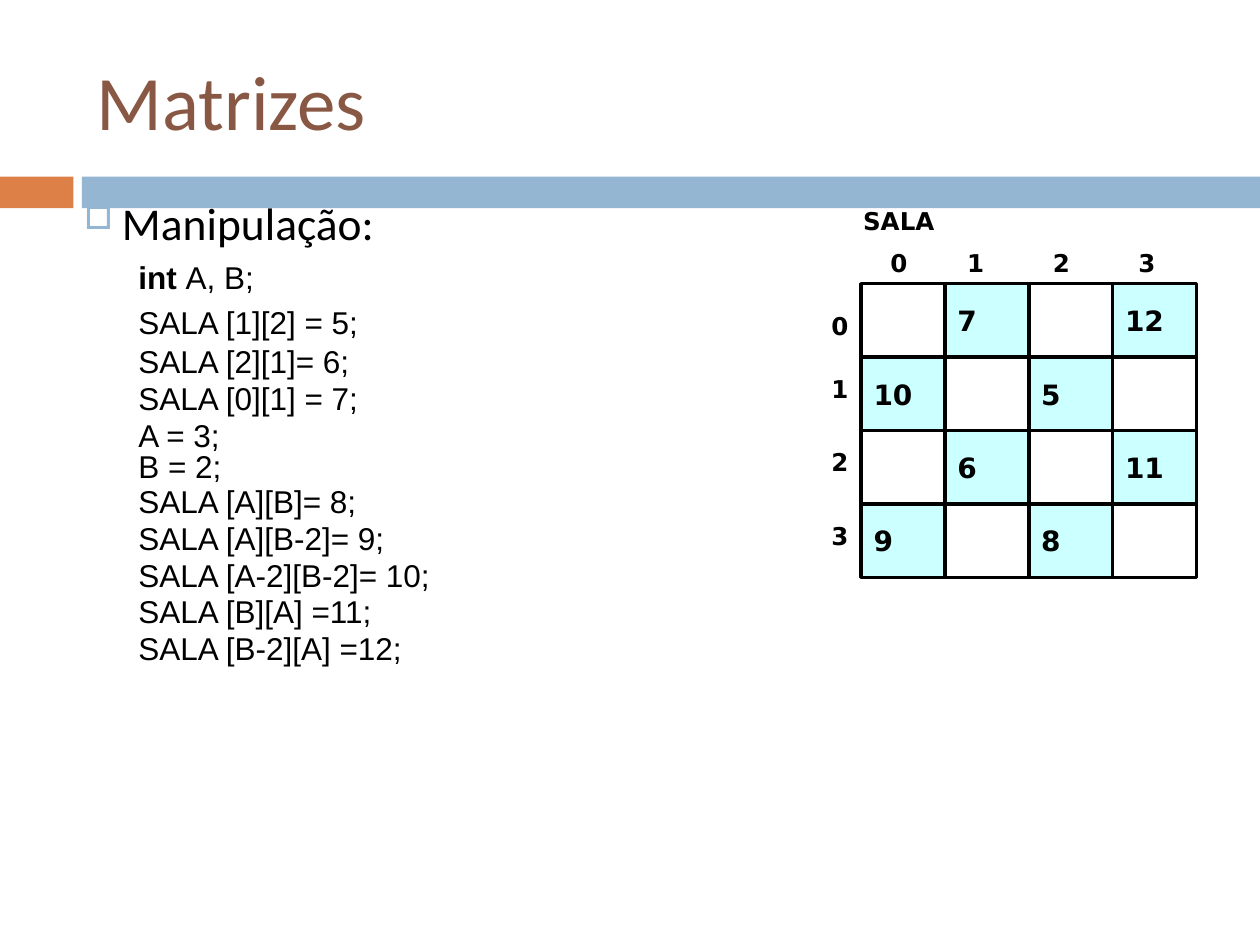
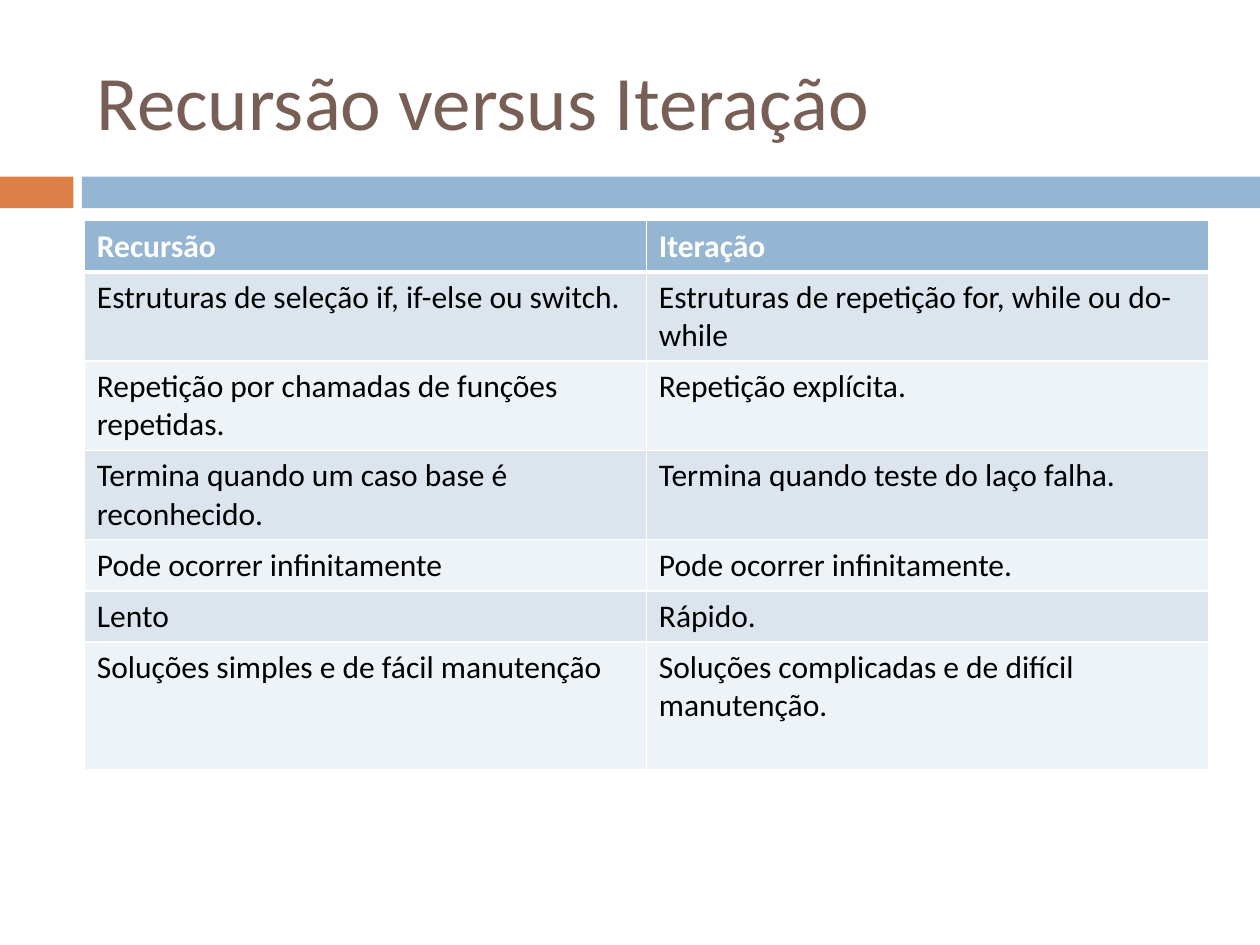
import pptx
import pptx.dml.color
import pptx.enum.shapes
import pptx.enum.text
import pptx.oxml.ns
import pptx.util
from lxml import etree

Cm = pptx.util.Cm
Pt = pptx.util.Pt

BLACK, WHITE = "000000", "FFFFFF"
ORANGE, BLUE = "DD8047", "94B6D2"
CYAN = "CCFFFF"
ROW_TINTS = ("DCE5EE", "EEF3F7")


def color(hex_code):
    return pptx.dml.color.RGBColor.from_string(hex_code)


def add_xml(parent, tag, **attributes):
    child = etree.SubElement(parent, pptx.oxml.ns.qn(tag))
    for key, value in attributes.items():
        child.set(key, str(value))
    return child


class Deck:
    """Holds the style and the slide being built."""

    body_font = "Calibri"
    code_font = "Arial"
    matrix_font = "DejaVu Sans"

    def __init__(self):
        self.prs = pptx.Presentation()
        self.prs.slide_width, self.prs.slide_height = Cm(25.4), Cm(19.05)
        self.slide = None

    def new_slide(self, title, title_color):
        self.slide = self.prs.slides.add_slide(self.prs.slide_layouts[6])
        self.box(0, 3.56, 1.48, 0.64, ORANGE)
        self.box(1.65, 3.56, 23.75, 0.64, BLUE)
        self.text(1.7, 0.64, 22.65, 2.75, [title], self.body_font, 44,
                  title_color, anchor=pptx.enum.text.MSO_ANCHOR.MIDDLE)

    def style(self, paragraph, font, size, hex_code=BLACK, bold=False):
        paragraph.font.name = font
        paragraph.font.size = Pt(size)
        paragraph.font.color.rgb = color(hex_code)
        paragraph.font.bold = bold

    def box(self, left, top, width, height, fill, outline=None):
        shape = self.slide.shapes.add_shape(
            pptx.enum.shapes.MSO_SHAPE.RECTANGLE,
            Cm(left), Cm(top), Cm(width), Cm(height))
        shape.shadow.inherit = False
        shape.fill.solid()
        shape.fill.fore_color.rgb = color(fill)
        if outline:
            shape.line.color.rgb = color(outline)
            shape.line.width = Pt(2)
        else:
            shape.line.fill.background()
        return shape

    def matrix_cell(self, left, top, width, height, value):
        cell = self.box(left, top, width, height,
                        WHITE if value is None else CYAN, BLACK)
        if value is not None:
            paragraph = cell.text_frame.paragraphs[0]
            paragraph.text = str(value)
            paragraph.alignment = pptx.enum.text.PP_ALIGN.LEFT
            self.style(paragraph, self.matrix_font, 16, bold=True)

    def text(self, left, top, width, height, lines, font, size,
             hex_code=BLACK, bold=False, gap=0, tabs=(), bullet=None,
             anchor=pptx.enum.text.MSO_ANCHOR.TOP):
        """Each line is a string, or a list of (text, bold) runs."""
        frame = self.slide.shapes.add_textbox(
            Cm(left), Cm(top), Cm(width), Cm(height)).text_frame
        frame.word_wrap = True
        frame.vertical_anchor = anchor
        for index, line in enumerate(lines):
            paragraph = frame.add_paragraph() if index else frame.paragraphs[0]
            if index:
                paragraph.space_before = Pt(gap)
            if bullet:
                self.bullet(paragraph, bullet)
            if tabs:
                self.tab_stops(paragraph, tabs)
            self.style(paragraph, font, size, hex_code, bold)
            runs = [(line, None)] if isinstance(line, str) else line
            for words, run_bold in runs:
                run = paragraph.add_run()
                run.text = words
                run.font.bold = run_bold

    def bullet(self, paragraph, character):
        props = paragraph._p.get_or_add_pPr()
        props.set("marL", str(Cm(1.78)))
        props.set("indent", str(-Cm(0.76)))
        add_xml(add_xml(props, "a:buClr"), "a:srgbClr", val=BLUE)
        add_xml(props, "a:buSzPct", val=70000)
        add_xml(props, "a:buChar", char=character)

    def tab_stops(self, paragraph, centers):
        stops = add_xml(paragraph._p.get_or_add_pPr(), "a:tabLst")
        for center in centers:
            add_xml(stops, "a:tab", pos=Cm(center), algn="ctr")

    def borders(self, cell, top, bottom):
        props = cell._tc.get_or_add_tcPr()
        for side, points in (("L", 1), ("R", 1), ("T", top), ("B", bottom)):
            line = add_xml(props, f"a:ln{side}", w=Pt(points))
            add_xml(add_xml(line, "a:solidFill"), "a:srgbClr", val=WHITE)

    def table(self, left, top, column_width, row_heights, rows):
        columns = len(rows[0])
        table = self.slide.shapes.add_table(
            len(rows), columns, Cm(left), Cm(top),
            Cm(column_width * columns), Cm(sum(row_heights))).table
        for column in table.columns:
            column.width = Cm(column_width)
        for r, (height, words) in enumerate(zip(row_heights, rows)):
            table.rows[r].height = Cm(height)
            header = r == 0
            for c, entry in enumerate(words):
                cell = table.cell(r, c)
                self.borders(cell, top=3 if r == 1 else 1,
                             bottom=3 if header else 1)
                cell.fill.solid()
                cell.fill.fore_color.rgb = color(
                    BLUE if header else ROW_TINTS[(r - 1) % 2])
                paragraph = cell.text_frame.paragraphs[0]
                paragraph.text = entry
                self.style(paragraph, self.body_font, 18,
                           WHITE if header else BLACK, header)


def matrices_slide(deck):
    deck.new_slide("Matrizes", "885844")
    deck.text(0.43, 3.81, 24.55, 1.4, ["Manipulação:"], deck.body_font, 26,
              bullet="□")

    # Code statements
    declaration = [("int ", True), ("A, B;", False)]
    deck.text(2.54, 5.08, 14.2, 1.93, [declaration, "SALA [1][2] = 5;"],
              deck.code_font, 18, gap=4.3)
    step = 0.74
    groups = [
        (6.78, ["SALA [2][1]= 6;", "SALA [0][1] = 7;", "A = 3;"]),
        (8.89, ["B = 2;"]),
        (9.6, ["SALA [A][B]= 8;", "SALA [A][B-2]= 9;", "SALA [A-2][B-2]= 10;",
               "SALA [B][A] =11;", "SALA [B-2][A] =12;"]),
    ]
    for first_top, statements in groups:
        for index, statement in enumerate(statements):
            deck.text(2.54, first_top + index * step, 14.6, 1.02, [statement],
                      deck.code_font, 18)

    # Matrix values
    sala = [
        [None, 7, None, 12],
        [10, None, 5, None],
        [None, 6, None, 11],
        [9, None, 8, None],
    ]
    cell_width, cell_height = 1.69, 1.48
    for r, values in enumerate(sala):
        for c, value in enumerate(values):
            deck.matrix_cell(17.36 + c * cell_width, 5.72 + r * cell_height,
                             cell_width, cell_height, value)

    # Matrix name and indices
    label = {"font": deck.matrix_font, "size": 14, "bold": True}
    deck.text(17.15, 4.02, 3.18, 0.85, ["SALA"], **label)
    deck.text(16.93, 4.87, 7.2, 0.85, ["\t0\t1\t2\t3"],
              tabs=(0.94, 2.49, 4.22, 5.94), **label)
    for row_index, top in enumerate((6.14, 7.41, 8.89, 10.37)):
        deck.text(16.51, top, 0.85, 0.85, [str(row_index)], **label)


def recursion_slide(deck):
    deck.new_slide("Recursão versus Iteração", "775F55")
    comparison = [
        ("Recursão", "Iteração"),
        ("Estruturas de seleção if, if-else ou switch.",
         "Estruturas de repetição for, while ou do-while"),
        ("Repetição por chamadas de funções repetidas.",
         "Repetição explícita."),
        ("Termina quando um caso base é reconhecido.",
         "Termina quando teste do laço falha."),
        ("Pode ocorrer infinitamente", "Pode ocorrer infinitamente."),
        ("Lento", "Rápido."),
        ("Soluções simples e de fácil manutenção",
         "Soluções complicadas e de difícil manutenção."),
    ]
    one_line, two_lines, last = 1.03, 1.8, 2.58
    heights = [one_line] + [two_lines] * 3 + [one_line] * 2 + [last]
    deck.table(1.7, 4.45, 11.33, heights, comparison)


def main():
    deck = Deck()
    matrices_slide(deck)
    recursion_slide(deck)
    deck.prs.save("out.pptx")


if __name__ == "__main__":
    main()
